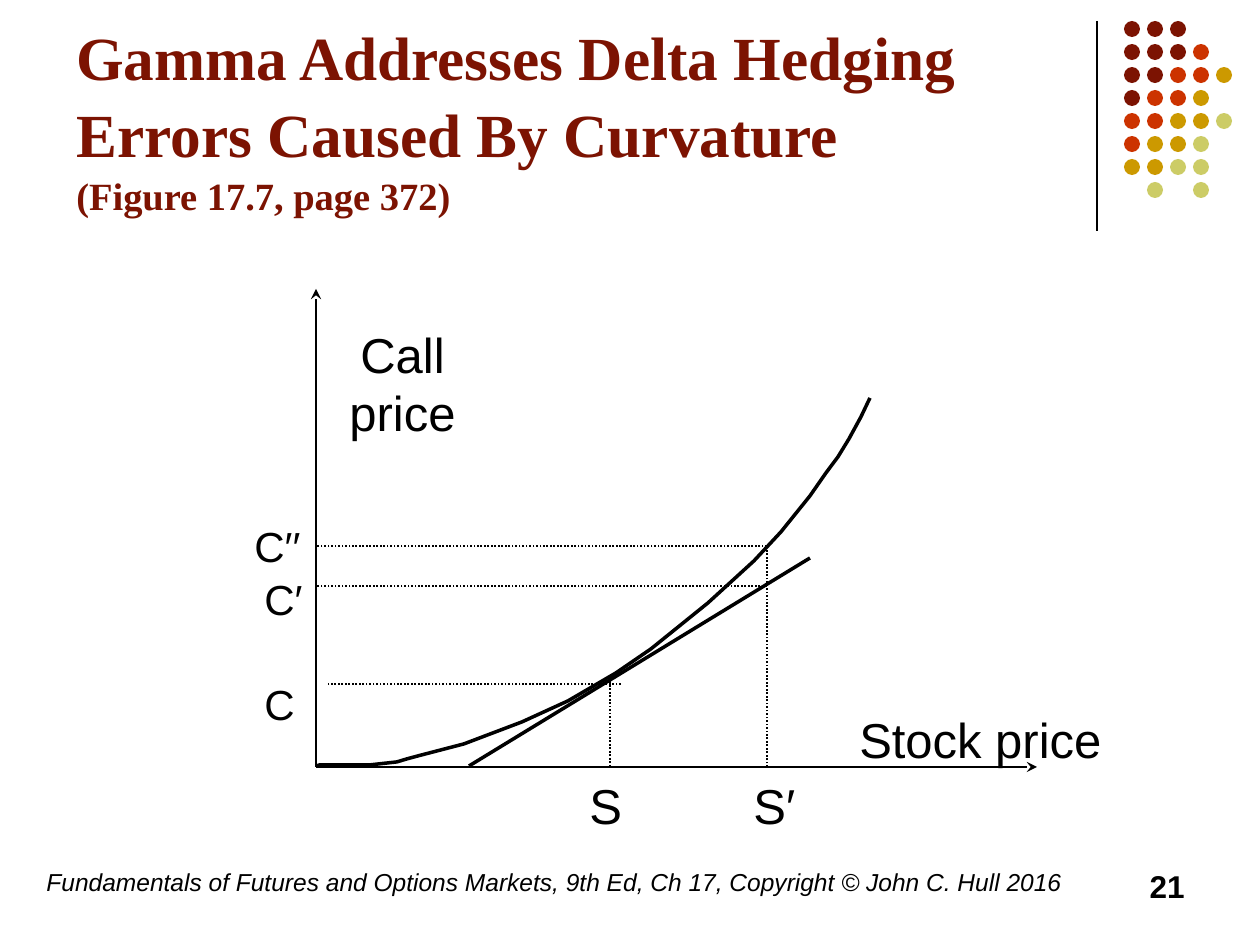
import pptx
import pptx.util
import pptx.dml.color
import pptx.enum.dml
import pptx.enum.shapes
import pptx.enum.text
import lxml.etree

PX = 914400 / 126  # EMU per px
COLORS = {"M": "7C1302", "R": "CC3300", "G": "CC9900", "Y": "CCCC66", "ink": "000000"}
NS = "http://schemas.openxmlformats.org/drawingml/2006/main"
ALIGN = pptx.enum.text.PP_ALIGN


def add_line(x1, y1, x2, y2, width=1, dash=None, arrow=False):
    ends = [round(v * PX) for v in (x1, y1, x2, y2)]
    ln = slide.shapes.add_connector(pptx.enum.shapes.MSO_CONNECTOR.STRAIGHT, *ends)
    ln.line.width = pptx.util.Pt(width)
    ln.line.color.rgb = pptx.dml.color.RGBColor.from_string(COLORS["ink"])
    if dash:
        ln.line.dash_style = dash
    if arrow:
        lxml.etree.SubElement(ln.line._get_or_add_ln(), f"{{{NS}}}tailEnd", type="stealth")
    lxml.etree.SubElement(ln._element.spPr, f"{{{NS}}}effectLst")


def add_text(text, box, size, align=ALIGN.LEFT, font="Arial", color="ink", bold=False, italic=False):
    """Add a text box; each line of text becomes a paragraph."""
    tb = slide.shapes.add_textbox(*[round(v * PX) for v in box])
    tf = tb.text_frame
    tf.word_wrap = True
    tf.text = text
    for p in tf.paragraphs:
        p.alignment = align
        p.font.name = font
        p.font.size = pptx.util.Pt(size)
        p.font.bold = bold
        p.font.italic = italic
        p.font.color.rgb = pptx.dml.color.RGBColor.from_string(COLORS[color])
    return tf


prs = pptx.Presentation()
prs.slide_width = round(1260 * PX)
prs.slide_height = round(945 * PX)
slide = prs.slides.add_slide(prs.slide_layouts[6])

# Corner ornament: a rule and a grid of dots
add_line(1097, 21, 1097, 231, 0.75)
DOTS = ["MMM", "MMMR", "MMRRG", "MRRG", "RRGGY", "RGGY", "GGYY", " Y Y"]
for row, codes in enumerate(DOTS):
    for col, code in enumerate(codes):
        if code == " ":
            continue
        box = [round(v * PX) for v in (1124 + 23 * col, 21 + 23 * row, 16, 16)]
        sp = slide.shapes.add_shape(pptx.enum.shapes.MSO_SHAPE.OVAL, *box)
        sp.shadow.inherit = False
        sp.fill.solid()
        sp.fill.fore_color.rgb = pptx.dml.color.RGBColor.from_string(COLORS[code])
        sp.line.fill.background()

# Title
tf = add_text("Gamma Addresses Delta Hedging Errors Caused By Curvature", (64, 55, 1038, 190), 35,
              font="Times New Roman", color="M", bold=True)
tf.vertical_anchor = pptx.enum.text.MSO_ANCHOR.MIDDLE
tf.margin_bottom = round(72 * PX)
p = tf.paragraphs[0]
p.line_spacing = 1.05
p.add_line_break()
r = p.add_run()
r.text = "(Figure 17.7, page 372)"
r.font.size = pptx.util.Pt(22)

# Axes
LEFT, BASE = 316, 767
add_line(LEFT, BASE, LEFT, 289, arrow=True)
add_line(LEFT, BASE, 1037, BASE, arrow=True)

# Option price curve and its tangent at S
CURVE = [(316, 766), (320, 765), (348, 765), (370, 765), (397, 762), (407, 759), (418, 756),
         (464, 744), (522, 722), (568, 701), (616, 673), (651, 649), (708, 603), (754, 561),
         (781, 532), (810, 496), (826, 473), (838, 457), (849, 439), (861, 417), (870, 398)]
fb = slide.shapes.build_freeform(*CURVE[0], scale=PX)
fb.add_line_segments(CURVE[1:], close=False)
sp = fb.convert_to_shape()
sp.shadow.inherit = False
sp.fill.background()
sp.line.width = pptx.util.Pt(2)
sp.line.color.rgb = pptx.dml.color.RGBColor.from_string(COLORS["ink"])
add_line(469, 766, 810, 558, 2)

# Dotted guides from the curve and tangent to the axes
GUIDES = [(610, 678, 610, BASE), (621, 684, 327, 684), (767, BASE, 767, 546),
          (767, 586, LEFT, 586), (767, 546, LEFT, 546)]
for guide in GUIDES:
    add_line(*guide, dash=pptx.enum.dml.MSO_LINE.ROUND_DOT)

# Labels
add_text("Call\nprice", (334, 318, 137, 130), 28, ALIGN.CENTER)
add_text("Stock price", (847, 703, 278, 72), 28)
add_text("S", (577, 769, 53, 72), 28)
add_text("S′", (741, 769, 69, 72), 28)
add_text("C", (252, 672, 63, 63), 24)
add_text("C′", (252, 567, 78, 63), 24)
add_text("C′′", (242, 514, 84, 63), 24)

# Footer
add_text("Fundamentals of Futures and Options Markets, 9th Ed, Ch 17, Copyright © John C. Hull 2016",
         (34, 861, 1042, 63), 14, italic=True)
add_text("21", (903, 861, 294, 63), 18, ALIGN.RIGHT, bold=True)

prs.save("out.pptx")
